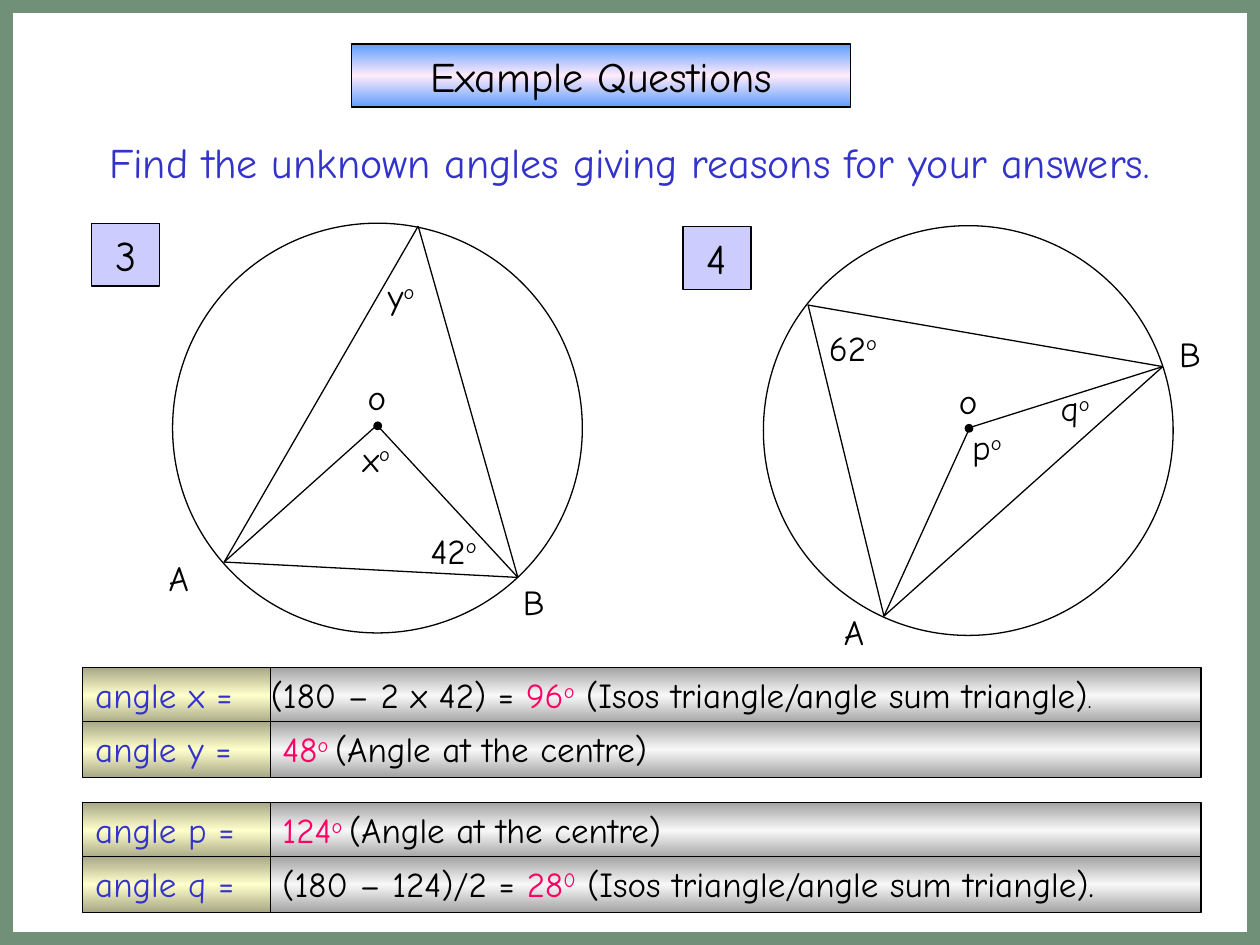
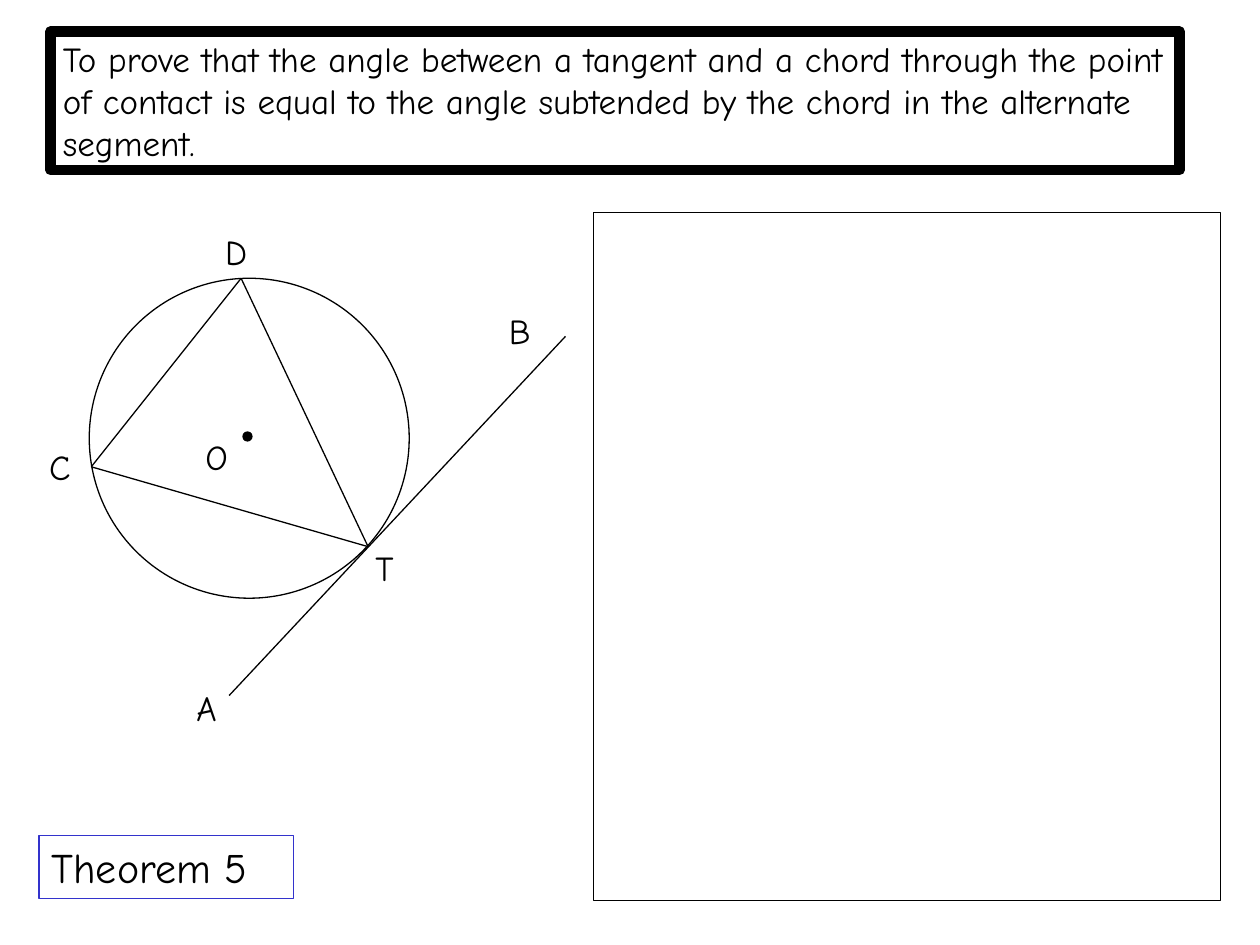
"""Build two slides on circle theorem angles."""
from copy import deepcopy
from typing import NamedTuple

from pptx import Presentation
from pptx.dml.color import RGBColor
from pptx.enum.shapes import MSO_CONNECTOR, MSO_SHAPE
from pptx.enum.text import MSO_ANCHOR, PP_ALIGN
from pptx.oxml.ns import qn
from pptx.oxml.xmlchemy import OxmlElement
from pptx.util import Cm, Pt

RECT, OVAL = MSO_SHAPE.RECTANGLE, MSO_SHAPE.OVAL
STRAIGHT = MSO_CONNECTOR.STRAIGHT
TOP = MSO_ANCHOR.TOP
LEFT, CENTER = PP_ALIGN.LEFT, PP_ALIGN.CENTER

FONT = "Comic Neue"
BLACK, BLUE, PINK = "000000", "3333CC", "FF0066"
LILAC, GREEN = "CCCCFF", "709077"
STEEL, CREAM, SKY = ("A3A3A3", "F8F8F8"), ("A8A886", "FFFFCC"), ("5E9EFF", "FFEBFA")
BODY, HEAD = 20, 24
ROW_H, ROW_PITCH, HEAD_H = 1.12, 1.09, 1.27
ISOS = "(Isos triangle/angle sum triangle)"
CENTRE = "(Angle at the centre)"


class Run(NamedTuple):
    """A piece of text in one format."""
    text: str
    color: str = BLACK
    size: int = BODY
    raised: bool = False


class Box(NamedTuple):
    """A place and size in centimetres."""
    x: float
    y: float
    w: float
    h: float


class Label(NamedTuple):
    """A letter or an angle beside a figure."""
    text: str
    x: float
    y: float
    w: float = 1.07
    degrees: bool = False


class Figure(NamedTuple):
    """A circle with its centre, named points, lines and labels."""
    circle: Box
    centre: Box
    points: dict
    lines: str
    labels: list


class Answer(NamedTuple):
    """A named angle and its worked value."""
    angle: str
    runs: list


FIGURE_3 = Figure(
    Box(3.48, 4.5, 8.26, 8.26), Box(7.54, 8.51, 0.15, 0.15),
    {"A": (4.52, 11.33), "B": (10.44, 11.64), "O": (7.6, 8.57), "P": (8.43, 4.56)},
    "AO OB AP PB AB",
    [Label("o", 7.16, 7.44), Label("A", 3.15, 11.1), Label("B", 10.29, 11.58),
     Label("42", 8.43, 10.54, 1.75, True), Label("x", 7.06, 8.69, 1.6, True),
     Label("y", 7.57, 5.41, 1.6, True)])

FIGURE_4 = Figure(
    Box(15.39, 4.55, 8.26, 8.26), Box(19.46, 8.56, 0.15, 0.15),
    {"A": (17.82, 12.42), "B": (23.44, 7.39), "O": (19.55, 8.62), "P": (16.29, 6.15)},
    "AO OB AP PB AB",
    [Label("o", 19.08, 7.52), Label("A", 16.76, 12.19), Label("B", 23.52, 6.58),
     Label("p", 19.35, 8.46, 1.75, True), Label("62", 16.46, 6.45, 1.75, True),
     Label("q", 21.13, 7.67, 1.75, True)])

TANGENT = Figure(
    Box(1.8, 5.61, 6.45, 6.45), Box(4.9, 8.71, 0.18, 0.18),
    {"A": (4.62, 14.02), "B": (11.4, 6.78), "C": (1.84, 9.41),
     "D": (4.86, 5.61), "T": (7.42, 11.02)},
    "AB TC CD TD",
    [Label("A", 3.71, 13.72, 1.22), Label("T", 7.32, 10.9, 1.22),
     Label("B", 10.01, 6.12, 1.22), Label("C", 0.74, 8.86, 1.22),
     Label("D", 4.29, 4.52, 1.22), Label("O", 3.89, 8.66, 1.22)])

ANSWERS_3 = [
    Answer("x", [Run("(180 – 2 x 42) = "), Run("96", PINK), Run("o", PINK, raised=True),
                 Run(" " + ISOS), Run(".", size=14)]),
    Answer("y", [Run(" 48", PINK), Run("o ", PINK, raised=True), Run(CENTRE)])]
ANSWERS_4 = [
    Answer("p", [Run(" 124", PINK), Run("o ", PINK, raised=True), Run(CENTRE)]),
    Answer("q", [Run(" (180 – 124)/2 = "), Run("28", PINK), Run("0", PINK, raised=True),
                 Run(f" {ISOS}.")])]


def rgb(value: str) -> RGBColor:
    """Turn a hex string into a colour."""
    return RGBColor.from_string(value)


def set_all(target, values: dict) -> None:
    """Set every named attribute on the target."""
    for name, value in values.items():
        setattr(target, name, value)


def write(sp, runs: list, align=LEFT) -> None:
    """Write the runs into the shape as one paragraph."""
    tf = sp.text_frame
    set_all(tf, {"word_wrap": True, "vertical_anchor": TOP})
    p = tf.paragraphs[0]
    p.alignment = align
    for run in runs:
        r = p.add_run()
        r.text = run.text
        set_all(r.font, {"name": FONT, "size": Pt(run.size)})
        r.font.color.rgb = rgb(run.color)
        if run.raised:
            r.font._element.set("baseline", "30000")


def paint_band(sp, edge: str, middle: str) -> None:
    """Fill a shape with a vertical gradient, the same at both edges."""
    sp.fill.gradient()
    sp.fill.gradient_angle = 90
    for stop, color, position in zip(sp.fill.gradient_stops, (edge, middle), (0, 0.5)):
        stop.color.rgb = rgb(color)
        stop.position = position
    stops = sp._element.spPr.find(".//" + qn("a:gsLst"))
    last = deepcopy(stops[0])
    last.set("pos", "100000")
    stops.append(last)


def add_box(s, box: Box, runs=(), fill=None, line=BLACK, weight=0.75,
            align=LEFT, kind=RECT):
    """Add an outlined shape with a plain, gradient or empty fill."""
    sp = s.shapes.add_shape(kind, *map(Cm, box))
    sp.shadow.inherit = False
    if fill is None:
        sp.fill.background()
    elif isinstance(fill, tuple):
        paint_band(sp, *fill)
    else:
        sp.fill.solid()
        sp.fill.fore_color.rgb = rgb(fill)
    sp.line.color.rgb = rgb(line)
    sp.line.width = Pt(weight)
    if runs:
        write(sp, runs, align)
    return sp


def add_text(s, box: Box, runs: list, align=LEFT) -> None:
    """Add a plain text box."""
    write(s.shapes.add_textbox(*map(Cm, box)), runs, align)


def add_line(s, start: tuple, end: tuple) -> None:
    """Add a thin straight line between two points."""
    sp = s.shapes.add_connector(STRAIGHT, *map(Cm, start + end))
    sp.line.color.rgb = rgb(BLACK)
    sp.line.width = Pt(0.75)
    sp._element.spPr.append(OxmlElement("a:effectLst"))


def add_figure(s, fig: Figure) -> None:
    """Draw a circle figure with its lines and labels."""
    add_box(s, fig.circle, kind=OVAL)
    add_box(s, fig.centre, fill=BLACK, kind=OVAL)
    for start, end in fig.lines.split():
        add_line(s, fig.points[start], fig.points[end])
    for label in fig.labels:
        runs = [Run(label.text)]
        if label.degrees:
            runs.append(Run("o", raised=True))
        add_text(s, Box(label.x, label.y, label.w, ROW_H), runs)


def add_answers(s, top: float, answers: list) -> None:
    """Stack the answer rows, each with its angle name on the left."""
    for i, answer in enumerate(answers):
        y = top + i * ROW_PITCH
        add_box(s, Box(5.21, y, 19, ROW_H), answer.runs, STEEL)
        add_box(s, Box(1.67, y, 3.78, ROW_H), [Run(f"angle {answer.angle} =", BLUE)], CREAM)


def build_examples(s) -> None:
    """Build the slide of example questions."""
    add_answers(s, 13.46, ANSWERS_3)
    add_answers(s, 16.18, ANSWERS_4)
    add_box(s, Box(7.09, 0.89, 10.06, HEAD_H), [Run("Example Questions", size=HEAD)],
            SKY, align=CENTER)
    add_text(s, Box(0.86, 2.62, 23.65, HEAD_H),
             [Run("Find the unknown angles giving reasons for your answers.", BLUE, HEAD)],
             CENTER)
    for number, x, y, fig in (("3", 1.85, 4.5, FIGURE_3), ("4", 13.77, 4.57, FIGURE_4)):
        add_box(s, Box(x, y, 1.37, HEAD_H), [Run(number, size=HEAD)], LILAC, align=CENTER)
        add_figure(s, fig)
    add_box(s, Box(0, 0, 25.4, 19.05), line=GREEN, weight=15)


def build_theorem(s) -> None:
    """Build the slide that states the theorem to prove."""
    add_box(s, Box(1.02, 0.64, 22.76, 2.79),
            [Run("To prove that the angle between a tangent and a chord through the point "
                 "of contact is equal to the angle subtended by the chord in the alternate "
                 "segment.")], weight=6)
    add_box(s, Box(0.79, 16.84, 5.13, HEAD_H), [Run("Theorem 5", size=HEAD)], line=BLUE)
    add_figure(s, TANGENT)
    add_box(s, Box(11.96, 4.29, 12.65, 13.87))


def main() -> None:
    """Build and save the presentation."""
    prs = Presentation()
    set_all(prs, {"slide_width": Cm(25.4), "slide_height": Cm(19.05)})
    for build in (build_examples, build_theorem):
        build(prs.slides.add_slide(prs.slide_layouts[6]))
    prs.save("out.pptx")


if __name__ == "__main__":
    main()
